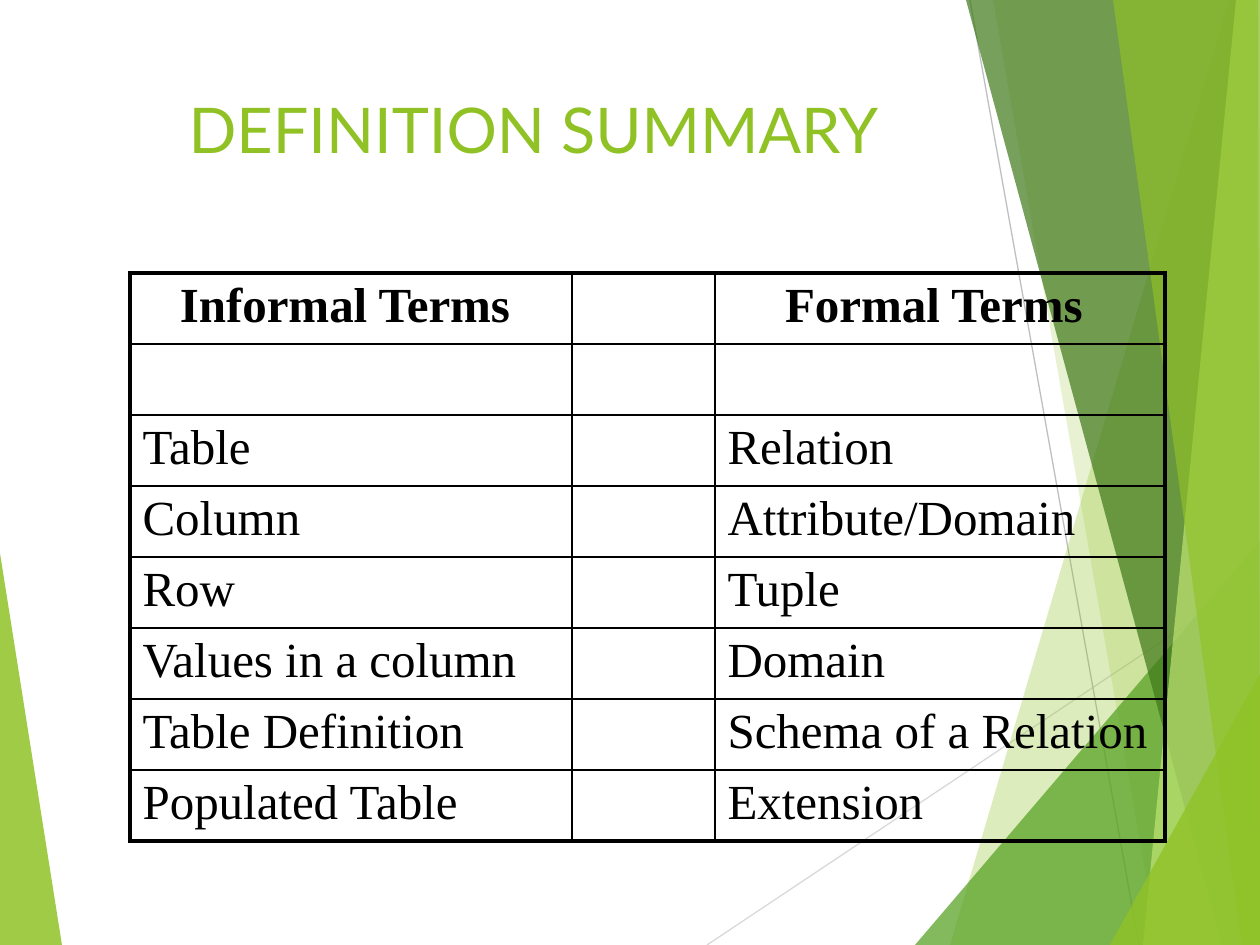
from lxml.etree import SubElement
from pptx import Presentation
from pptx.dml.color import RGBColor
from pptx.enum.shapes import MSO_CONNECTOR
from pptx.enum.text import MSO_ANCHOR, MSO_AUTO_SIZE, PP_ALIGN
from pptx.oxml.ns import qn
from pptx.util import Emu, Pt

SCALE = 914400 / 126
GREEN = "90C226"
FACETS = [
    ([(0, 553), (62, 945), (0, 945)], GREEN, 85),
    ([(1229, 0), (950, 945), (1260, 945), (1260, 0)], GREEN, 30),
    ([(993, 0), (1158, 945), (1260, 945), (1260, 0)], GREEN, 20),
    ([(915, 945), (1260, 541), (1260, 945)], "54A021", 72),
    ([(966, 0), (1222, 945), (1260, 945), (1260, 0)], "3F7819", 70),
    ([(1236, 0), (1143, 945), (1260, 945), (1260, 0)], "C0E474", 70),
    ([(1113, 0), (1242, 945), (1260, 945), (1258, 0)], GREEN, 65),
    ([(1110, 945), (1260, 674), (1260, 945)], GREEN, 80),
]
LINES = [
    ((707, 945), (1260, 576), "D9D9D9"),
    ((970, 0), (1139, 945), "BFBFBF"),
]
COLUMNS = [442, 143, 450]
ROW_HEIGHT = 71
TERMS = [
    ("Informal Terms ", "Formal Terms "),
    ("", ""),
    ("Table", "Relation"),
    ("Column", "Attribute/Domain"),
    ("Row", "Tuple"),
    ("Values in a column", "Domain"),
    ("Table Definition", "Schema of a Relation"),
    ("Populated Table", "Extension"),
]


def px(n):
    return Emu(round(n * SCALE))


def color(value):
    return RGBColor.from_string(value)


def format_font(font, name, size, value, bold=False):
    font.name = name
    font.size = Pt(size)
    font.bold = bold
    font.color.rgb = color(value)


def add_facet(s, points, value, opacity):
    builder = s.shapes.build_freeform(*points[0], scale=SCALE)
    builder.add_line_segments(points[1:], close=True)
    sp = builder.convert_to_shape()
    sp.shadow.inherit = False
    sp.line.fill.background()
    sp.fill.solid()
    sp.fill.fore_color.rgb = color(value)
    clr = sp.element.spPr.find(".//" + qn("a:srgbClr"))
    SubElement(clr, qn("a:alpha"), val=str(opacity * 1000))


def add_line(s, start, end, value):
    line = s.shapes.add_connector(
        MSO_CONNECTOR.STRAIGHT, *map(px, start), *map(px, end))
    line.line.color.rgb = color(value)
    line.line.width = Pt(0.75)
    SubElement(line.element.spPr, qn("a:effectLst"))


def add_title(s, text):
    sp = s.shapes.title
    sp.left, sp.top, sp.width, sp.height = map(px, (176, 84, 989, 158))
    tf = sp.text_frame
    tf.text = text
    tf.auto_size = MSO_AUTO_SIZE.NONE
    tf.vertical_anchor = MSO_ANCHOR.TOP
    p = tf.paragraphs[0]
    p.alignment = PP_ALIGN.LEFT
    format_font(p.runs[0].font, "Lato", 36, GREEN)
    s.shapes.element.append(sp.element)


def set_borders(cell, widths):
    tc_pr = cell._tc.get_or_add_tcPr()
    for side, width in zip("LRTB", widths):
        ln = SubElement(tc_pr, qn("a:ln" + side), w=str(Pt(width)))
        fill = SubElement(ln, qn("a:solidFill"))
        SubElement(fill, qn("a:srgbClr"), val="000000")


def set_cell_text(cell, text, header):
    cell.text_frame.text = text
    p = cell.text_frame.paragraphs[0]
    p.alignment = PP_ALIGN.CENTER if header else PP_ALIGN.LEFT
    spacing = SubElement(p._p.get_or_add_pPr(), qn("a:spcBef"))
    SubElement(spacing, qn("a:spcPct"), val="20000")
    for r in p.runs:
        format_font(r.font, "Times New Roman", 28, "000000", header)


def add_terms_table(s):
    last_row, last_col = len(TERMS) - 1, len(COLUMNS) - 1
    table = s.shapes.add_table(
        len(TERMS), len(COLUMNS), px(130), px(273),
        px(sum(COLUMNS)), px(ROW_HEIGHT * len(TERMS))).table
    table.first_row = table.horz_banding = False
    for column, width in zip(table.columns, COLUMNS):
        column.width = px(width)
    for i, (informal, formal) in enumerate(TERMS):
        table.rows[i].height = px(ROW_HEIGHT)
        for j, text in enumerate((informal, "", formal)):
            cell = table.cell(i, j)
            outer = (j == 0, j == last_col, i == 0, i == last_row)
            set_borders(cell, [2.25 if edge else 1 for edge in outer])
            cell.fill.background()
            if text:
                set_cell_text(cell, text, i == 0)


def main():
    prs = Presentation()
    prs.slide_width, prs.slide_height = px(1260), px(945)
    s = prs.slides.add_slide(prs.slide_layouts[5])
    add_facet(s, *FACETS[0])
    for line in LINES:
        add_line(s, *line)
    for facet in FACETS[1:]:
        add_facet(s, *facet)
    add_title(s, "DEFINITION SUMMARY")
    add_terms_table(s)
    prs.save("out.pptx")


if __name__ == "__main__":
    main()
